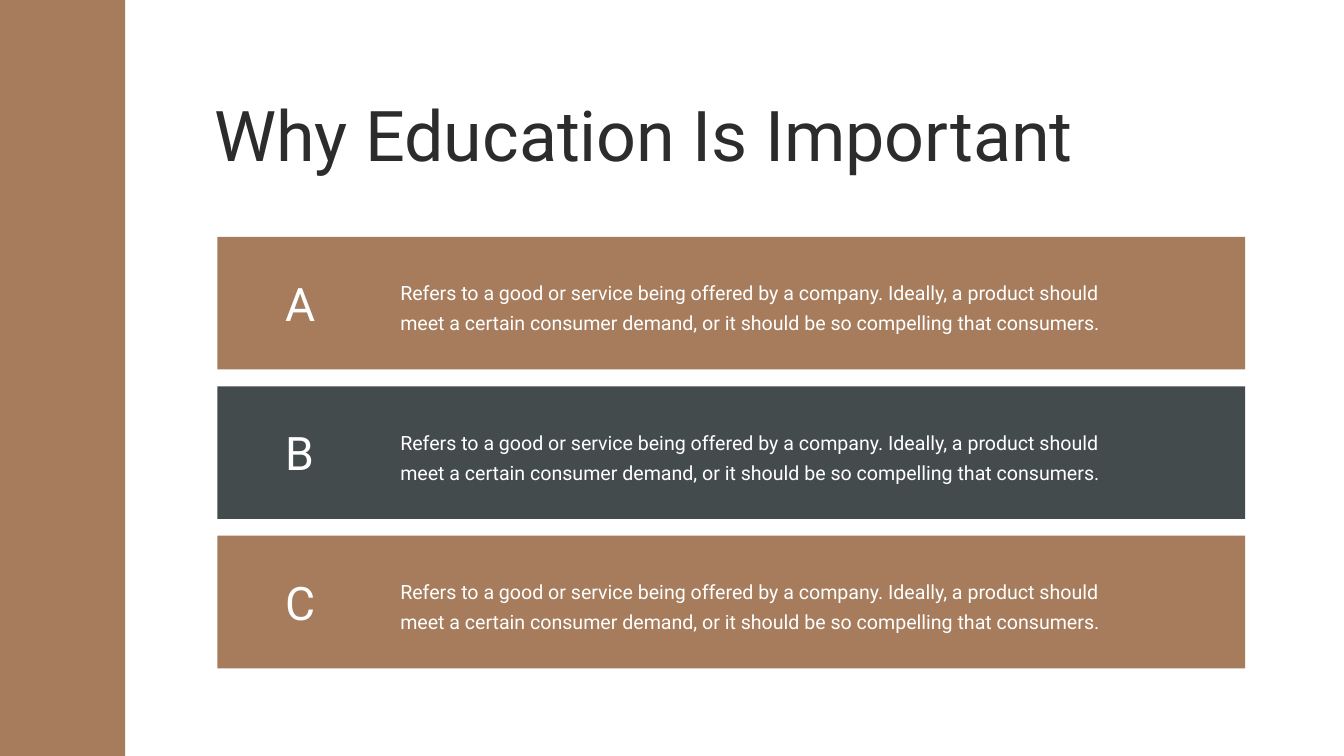
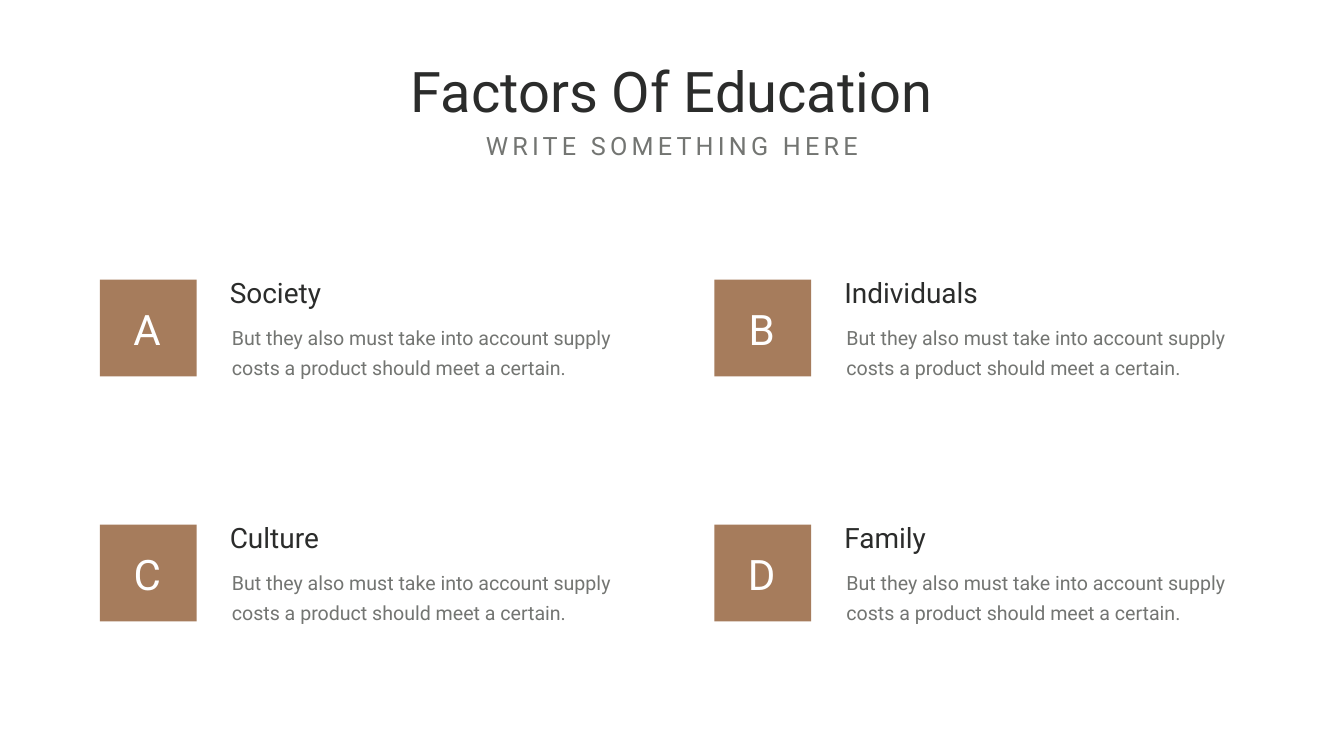
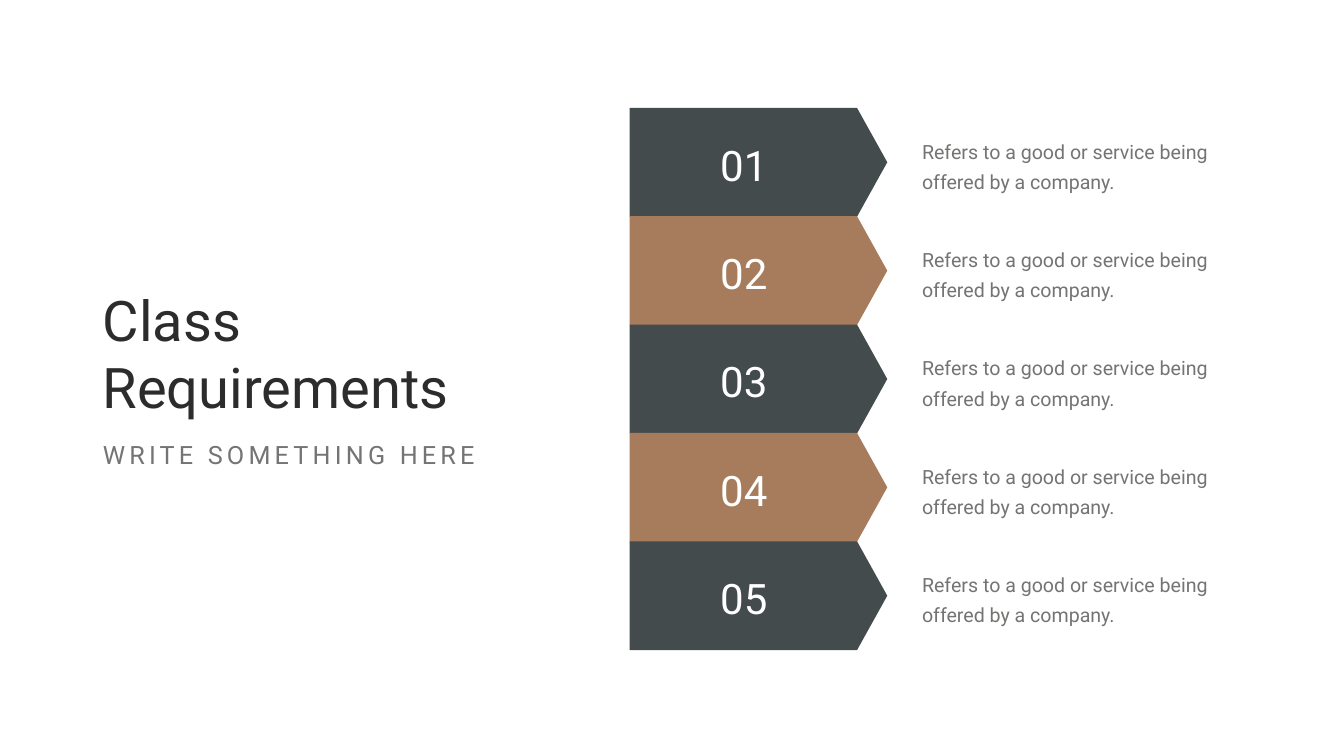
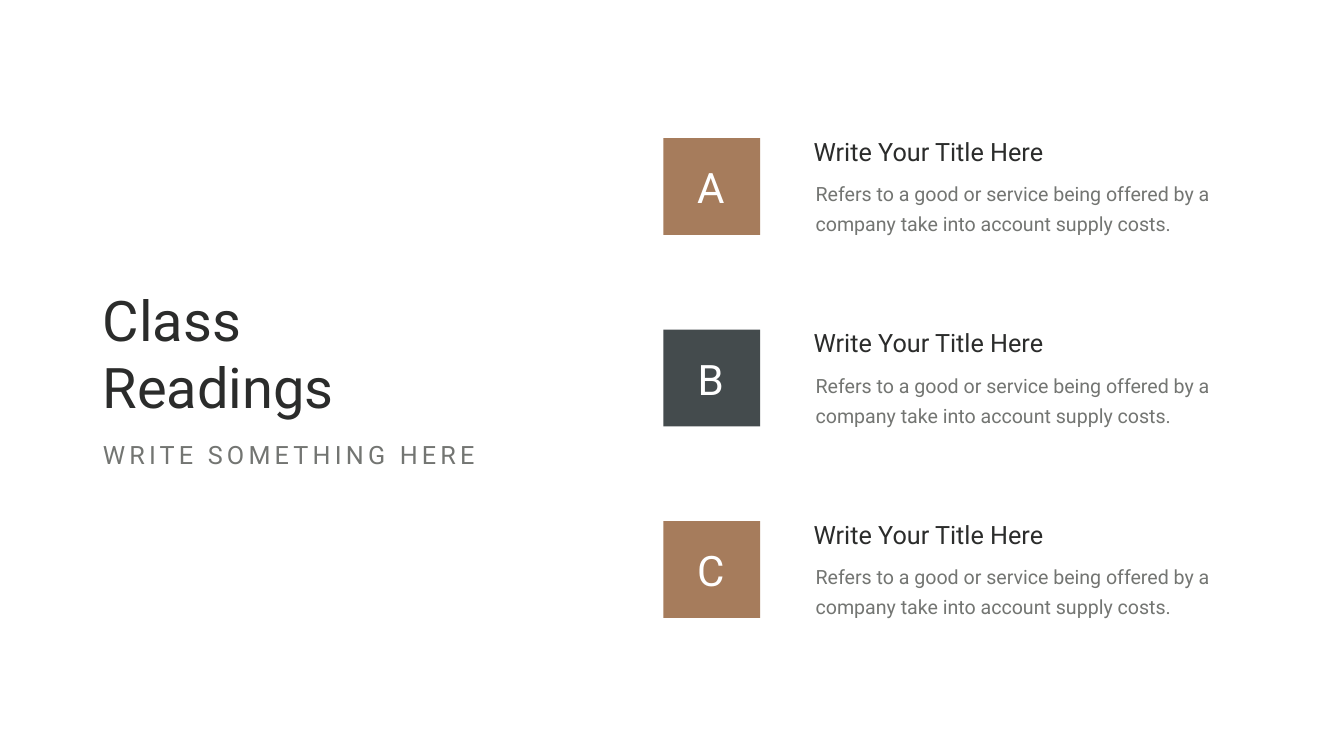
from pptx import Presentation
from pptx.dml.color import RGBColor
from pptx.enum.shapes import MSO_SHAPE
from pptx.enum.text import MSO_AUTO_SIZE, PP_ALIGN
from pptx.util import Inches, Pt

RECTANGLE = MSO_SHAPE.RECTANGLE
GROW = MSO_AUTO_SIZE.SHAPE_TO_FIT_TEXT
LEFT, CENTER = PP_ALIGN.LEFT, PP_ALIGN.CENTER

BROWN = RGBColor(0xA6, 0x7C, 0x5C)
SLATE = RGBColor(0x44, 0x4B, 0x4D)
INK = RGBColor(0x2B, 0x2C, 0x2B)
GRAY = RGBColor(0x73, 0x75, 0x72)
WHITE = RGBColor(0xFF, 0xFF, 0xFF)
FONT = "Roboto"

SLIDE_WIDTH, SLIDE_HEIGHT = 26.66, 15
SQUARE = 1.92

# Content
SUBTITLE = "WRITE SOMETHING HERE"

REASONS_TITLE = "Why Education Is Important"
REASON = ("Refers to a good or service being offered by a company. Ideally, "
          "a product should meet a certain consumer demand, or it should be "
          "so compelling that consumers.")
REASONS = [("A", BROWN, REASON), ("B", SLATE, REASON), ("C", BROWN, REASON)]

FACTORS_TITLE = "Factors Of Education"
FACTOR_TEXT = ("But they also must take into account supply costs a product "
               "should meet a certain.")
FACTORS = [("A", "Society"), ("B", "Individuals"),
           ("C", "Culture"), ("D", "Family")]

REQUIREMENTS_TITLE = "Class Requirements"
REQUIREMENTS = ["Refers to a good or service being offered by a company."] * 5

READINGS_TITLE = "Class Readings"
READING_HEADING = "Write Your Title Here"
READING_TEXT = ("Refers to a good or service being offered by a company take "
                "into account supply costs.")
READINGS = [("A", BROWN), ("B", SLATE), ("C", BROWN)]


def add_slide(presentation):
    """Add a blank slide with a white background."""
    slide = presentation.slides.add_slide(presentation.slide_layouts[6])
    slide.background.fill.solid()
    slide.background.fill.fore_color.rgb = WHITE
    return slide


def paint(shape, color):
    """Give a shape a flat fill without line or shadow."""
    shape.shadow.inherit = False
    shape.fill.solid()
    shape.fill.fore_color.rgb = color
    shape.line.fill.background()


def add_block(slide, left, top, width, height, color):
    """Add a flat rectangle."""
    paint(slide.shapes.add_shape(RECTANGLE, Inches(left), Inches(top),
                                 Inches(width), Inches(height)), color)


def add_arrow(slide, left, top, width, height, tip, color):
    """Add a band whose right end runs to a point."""
    corners = [(left + width - tip, top), (left + width, top + height / 2),
               (left + width - tip, top + height), (left, top + height)]
    builder = slide.shapes.build_freeform(Inches(left), Inches(top))
    builder.add_line_segments([(Inches(x), Inches(y)) for x, y in corners])
    paint(builder.convert_to_shape(), color)


def add_text(slide, text, left, top, width, height, size, color,
             align=LEFT, tracking=None):
    """Add a wrapping text box with one run and return it."""
    box = slide.shapes.add_textbox(Inches(left), Inches(top),
                                   Inches(width), Inches(height))
    frame = box.text_frame
    frame.word_wrap = True
    frame.auto_size = GROW
    paragraph = frame.paragraphs[0]
    paragraph.alignment = align
    run = paragraph.add_run()
    run.text = text
    run.font.name = FONT
    run.font.size = Pt(size)
    run.font.color.rgb = color
    if tracking:
        run._r.get_or_add_rPr().set("spc", str(tracking * 100))
    return box


def add_body(slide, text, left, top, width, color=GRAY):
    """Add body copy with wide margins and fixed line spacing."""
    box = add_text(slide, text, left, top, width, 1.39, 28, color)
    frame = box.text_frame
    frame.margin_left = frame.margin_right = Inches(0.24)
    frame.margin_top = frame.margin_bottom = Inches(0.12)
    frame.paragraphs[0].line_spacing = Pt(43)


def add_subtitle(slide, left, top, align=LEFT):
    """Add the widely spaced line that goes under a title."""
    add_text(slide, SUBTITLE, left, top, 8.14, 0.71, 36, GRAY, align, 6)


def add_side_title(slide, title):
    """Add the title and subtitle at the left of a slide."""
    add_text(slide, title, 1.94, 5.62, 7.49, 2.79, 80, INK)
    add_subtitle(slide, 1.94, 8.67)


def add_letter_square(slide, letter, left, top, color):
    """Add a square with a centred letter."""
    add_block(slide, left, top, SQUARE, SQUARE, color)
    width = 2.41
    add_text(slide, letter, left + (SQUARE - width) / 2 - 0.02, top + 0.42,
             width, 1.11, 60, WHITE, CENTER)


def build_reasons(presentation):
    """Three lettered bars beside a side band."""
    slide = add_slide(presentation)
    add_block(slide, 0, 0, 2.48, SLIDE_HEIGHT, BROWN)
    add_text(slide, REASONS_TITLE, 4.15, 1.76, 18.49, 1.78, 100, INK)
    for index, (letter, color, text) in enumerate(REASONS):
        top = 4.7 + index * 2.965
        add_block(slide, 4.31, top, 20.39, 2.63, color)
        add_text(slide, letter, 5.56, top + 0.71, 1.36, 1.21, 66, WHITE)
        add_body(slide, text, 7.7, top + 0.63, 15.28, WHITE)


def build_factors(presentation):
    """Four lettered squares in a two by two grid."""
    slide = add_slide(presentation)
    add_text(slide, FACTORS_TITLE, 7.3, 1.08, 12.05, 1.45, 80, INK, CENTER)
    add_subtitle(slide, 9.26, 2.54, CENTER)
    for index, (letter, heading) in enumerate(FACTORS):
        row, column = divmod(index, 2)
        left, top = 1.98 + column * 12.19, 5.55 + row * 4.86
        add_letter_square(slide, letter, left, top, BROWN)
        add_text(slide, heading, left + 2.48, top - 0.14, 4.77, 0.77, 40, INK)
        add_body(slide, FACTOR_TEXT, left + 2.38, top + 0.66, 8.14)


def build_requirements(presentation):
    """A stack of numbered arrows with a note beside each."""
    slide = add_slide(presentation)
    add_side_title(slide, REQUIREMENTS_TITLE)
    for index, text in enumerate(REQUIREMENTS):
        top = 2.14 + index * 2.15
        color = BROWN if index % 2 else SLATE
        add_arrow(slide, 12.49, top, 5.11, 2.16, 0.6, color)
        add_text(slide, f"{index + 1:02d}", 13.03, top + 0.57, 3.45, 1.11,
                 60, WHITE, CENTER)
        add_body(slide, text, 18.05, top + 0.38, 7.05)


def build_readings(presentation):
    """Three lettered squares in a column."""
    slide = add_slide(presentation)
    add_side_title(slide, READINGS_TITLE)
    for index, (letter, color) in enumerate(READINGS):
        left, top = 13.16, 2.74 + index * 3.8
        add_letter_square(slide, letter, left, top, color)
        add_text(slide, READING_HEADING, left + 2.88, top - 0.09, 5.39, 0.71,
                 36, INK)
        add_body(slide, READING_TEXT, left + 2.78, top + 0.62, 9.1)


presentation = Presentation()
presentation.slide_width = Inches(SLIDE_WIDTH)
presentation.slide_height = Inches(SLIDE_HEIGHT)
for build in (build_reasons, build_factors, build_requirements, build_readings):
    build(presentation)
presentation.save("out.pptx")
